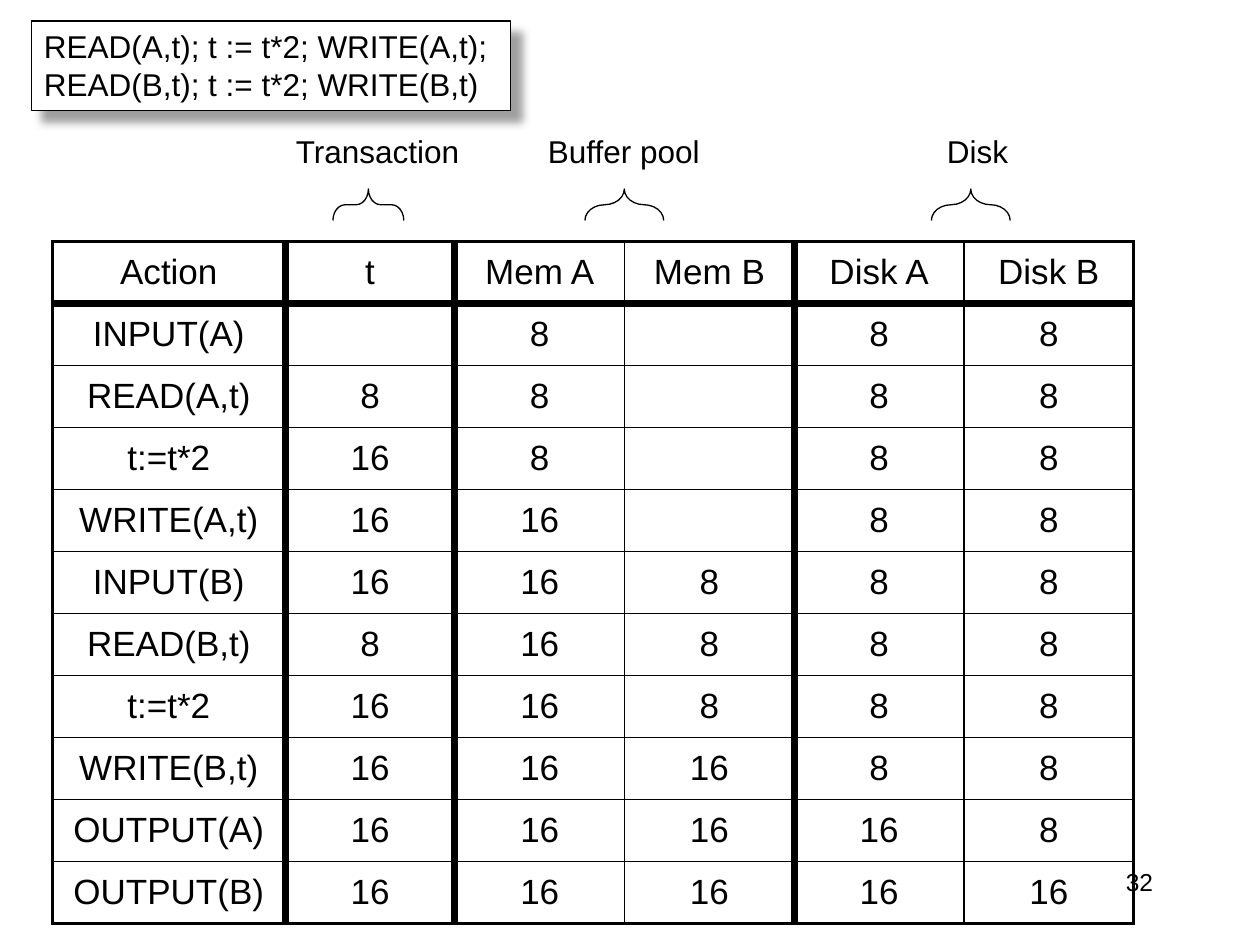
import lxml.etree
import pptx
import pptx.dml.color
import pptx.enum.shapes
import pptx.enum.text
import pptx.oxml
import pptx.oxml.ns
import pptx.util

Pt = pptx.util.Pt
ALIGN = pptx.enum.text.PP_ALIGN
SHAPE = pptx.enum.shapes.MSO_SHAPE
BLACK = "000000"
COLUMN_WIDTHS = [133] + [97] * 5
ROW_HEIGHT = 35.45
ROWS = [
    ["Action", "t", "Mem A", "Mem B", "Disk A", "Disk B"],
    ["INPUT(A)", "", "8", "", "8", "8"],
    ["READ(A,t)", "8", "8", "", "8", "8"],
    ["t:=t*2", "16", "8", "", "8", "8"],
    ["WRITE(A,t)", "16", "16", "", "8", "8"],
    ["INPUT(B)", "16", "16", "8", "8", "8"],
    ["READ(B,t)", "8", "16", "8", "8", "8"],
    ["t:=t*2", "16", "16", "8", "8", "8"],
    ["WRITE(B,t)", "16", "16", "16", "8", "8"],
    ["OUTPUT(A)", "16", "16", "16", "16", "8"],
    ["OUTPUT(B)", "16", "16", "16", "16", "16"],
]
VERTICAL_RULES = [2.25, 4.5, 4.5, 1, 4.5, 1, 2.25]
HORIZONTAL_RULES = [2.25, 4.5] + [1] * (len(ROWS) - 2) + [2.25]
GROUPS = [
    ("Transaction", 162, 108.5, 210.5, 40.5, 0.389),
    ("Buffer pool", 306, 101.5, 356.75, 45, 0.902),
    ("Disk", 534, 50, 554.75, 45, 0.902),
]


def color(value):
    """Turn a hex string into a colour."""
    return pptx.dml.color.RGBColor.from_string(value)


def write(frame, text, size, align=ALIGN.LEFT):
    """Fill a text frame and format all its runs."""
    frame.text = text
    for para in frame.paragraphs:
        para.alignment = align
        for span in para.runs:
            span.font.name = "Arial"
            span.font.size = Pt(size)
            span.font.color.rgb = color(BLACK)


def add_label(page, text, left, top, width, height, size=18, align=ALIGN.LEFT, wrap=False):
    """Add a plain text box."""
    box = page.shapes.add_textbox(Pt(left), Pt(top), Pt(width), Pt(height))
    write(box.text_frame, text, size, align)
    box.text_frame.word_wrap = wrap


def add_outline(page, kind, left, top, width, height):
    """Add a thinly outlined preset shape without fill or shadow."""
    shape = page.shapes.add_shape(kind, Pt(left), Pt(top), Pt(width), Pt(height))
    shape.shadow.inherit = False
    shape.fill.background()
    shape.line.color.rgb = color(BLACK)
    shape.line.width = Pt(0.75)
    return shape


def add_brace(page, center, span, curve):
    """Add an upward brace centred over table columns."""
    thickness, middle = 18, 117
    brace = add_outline(page, SHAPE.LEFT_BRACE, center - thickness / 2,
                        middle - span / 2, thickness, span)
    brace.rotation = 90
    brace.adjustments[0] = curve
    brace.adjustments[1] = 0.5


def add_code_box(page, text):
    """Add the white program box with its soft shadow."""
    box = add_outline(page, SHAPE.RECTANGLE, 18, 12, 273.75, 51)
    box.fill.solid()
    box.fill.fore_color.rgb = color("FFFFFF")
    effects = box._element.spPr.find(pptx.oxml.ns.qn("a:effectLst"))
    effects.append(pptx.oxml.parse_xml(
        f'<a:outerShdw {pptx.oxml.ns.nsdecls("a")} blurRad="{Pt(5)}" dist="{Pt(8.5)}" '
        f'dir="{45 * 60000}" algn="tl" rotWithShape="0"><a:srgbClr val="808080">'
        '<a:alpha val="75000"/></a:srgbClr></a:outerShdw>'))
    frame = box.text_frame
    write(frame, text, 18)
    frame.word_wrap = False
    frame.vertical_anchor = pptx.enum.text.MSO_ANCHOR.TOP
    for para in frame.paragraphs:
        properties = para._p.get_or_add_pPr()
        properties.set("marL", str(Pt(27)))
        properties.set("indent", str(-Pt(27)))


def add_borders(cell, left, right, top, bottom):
    """Draw the four borders of a cell with the given widths."""
    properties = cell._tc.get_or_add_tcPr()
    for side, width in zip("LRTB", (left, right, top, bottom)):
        line = lxml.etree.SubElement(properties, pptx.oxml.ns.qn(f"a:ln{side}"), w=str(Pt(width)))
        fill = lxml.etree.SubElement(line, pptx.oxml.ns.qn("a:solidFill"))
        lxml.etree.SubElement(fill, pptx.oxml.ns.qn("a:srgbClr"), val=BLACK)


def add_state_table(page):
    """Add the table of values after each action."""
    table = page.shapes.add_table(len(ROWS), len(COLUMN_WIDTHS), Pt(30), Pt(138),
                                  Pt(sum(COLUMN_WIDTHS)), Pt(ROW_HEIGHT * len(ROWS))).table
    table.first_row = table.horz_banding = False
    for column, width in zip(table.columns, COLUMN_WIDTHS):
        column.width = Pt(width)
    for r, values in enumerate(ROWS):
        table.rows[r].height = Pt(ROW_HEIGHT)
        for c, value in enumerate(values):
            cell = table.cell(r, c)
            write(cell.text_frame, value, 20, ALIGN.CENTER)
            cell.vertical_anchor = pptx.enum.text.MSO_ANCHOR.MIDDLE
            add_borders(cell, *VERTICAL_RULES[c:c + 2], *HORIZONTAL_RULES[r:r + 2])
            cell.fill.background()


def main():
    """Build the slide and save the deck."""
    deck = pptx.Presentation()
    deck.slide_width, deck.slide_height = Pt(720), Pt(540)
    page = deck.slides.add_slide(deck.slide_layouts[6])
    add_label(page, "32", 516, 492, 150, 36, 14, ALIGN.RIGHT, True)
    add_state_table(page)
    for name, left, width, center, span, curve in GROUPS:
        add_brace(page, center, span, curve)
        add_label(page, name, left, 72, width, 29)
    add_code_box(page, "READ(A,t); t := t*2; WRITE(A,t);\nREAD(B,t); t := t*2; WRITE(B,t)")
    deck.save("out.pptx")


if __name__ == "__main__":
    main()
